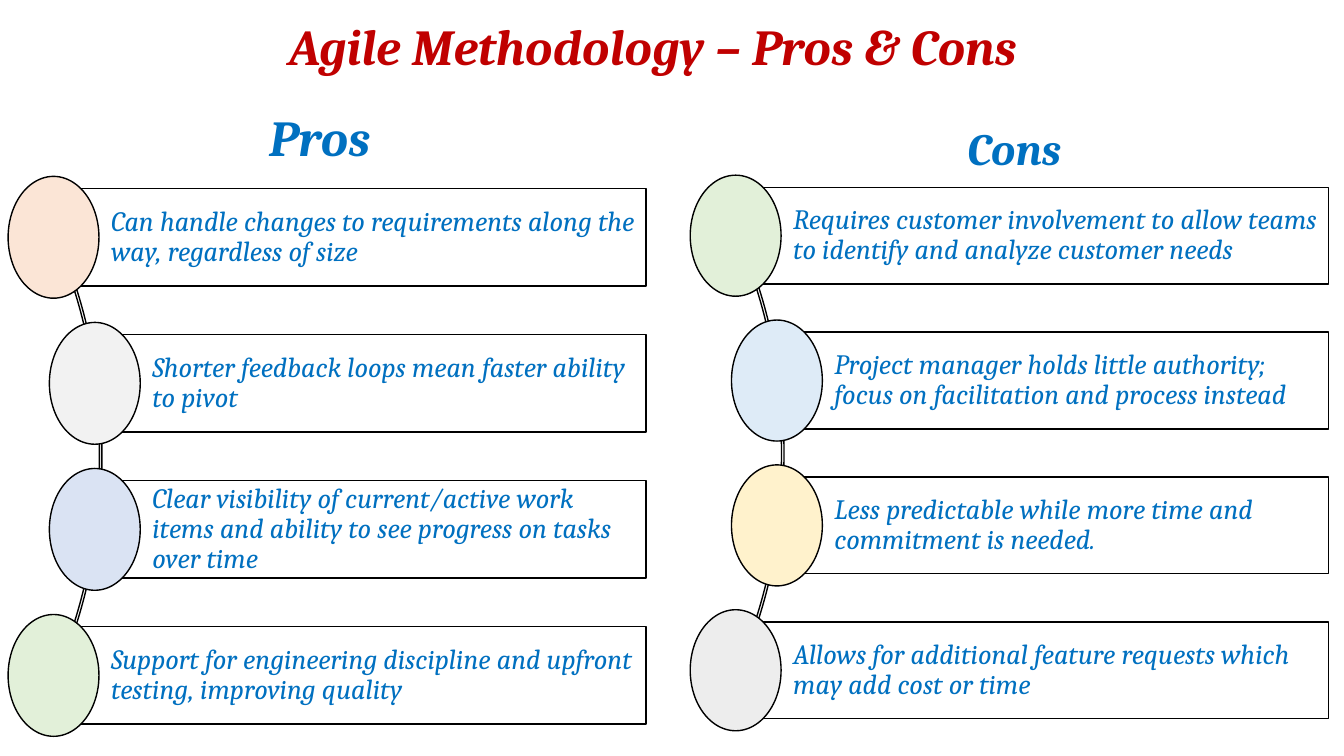
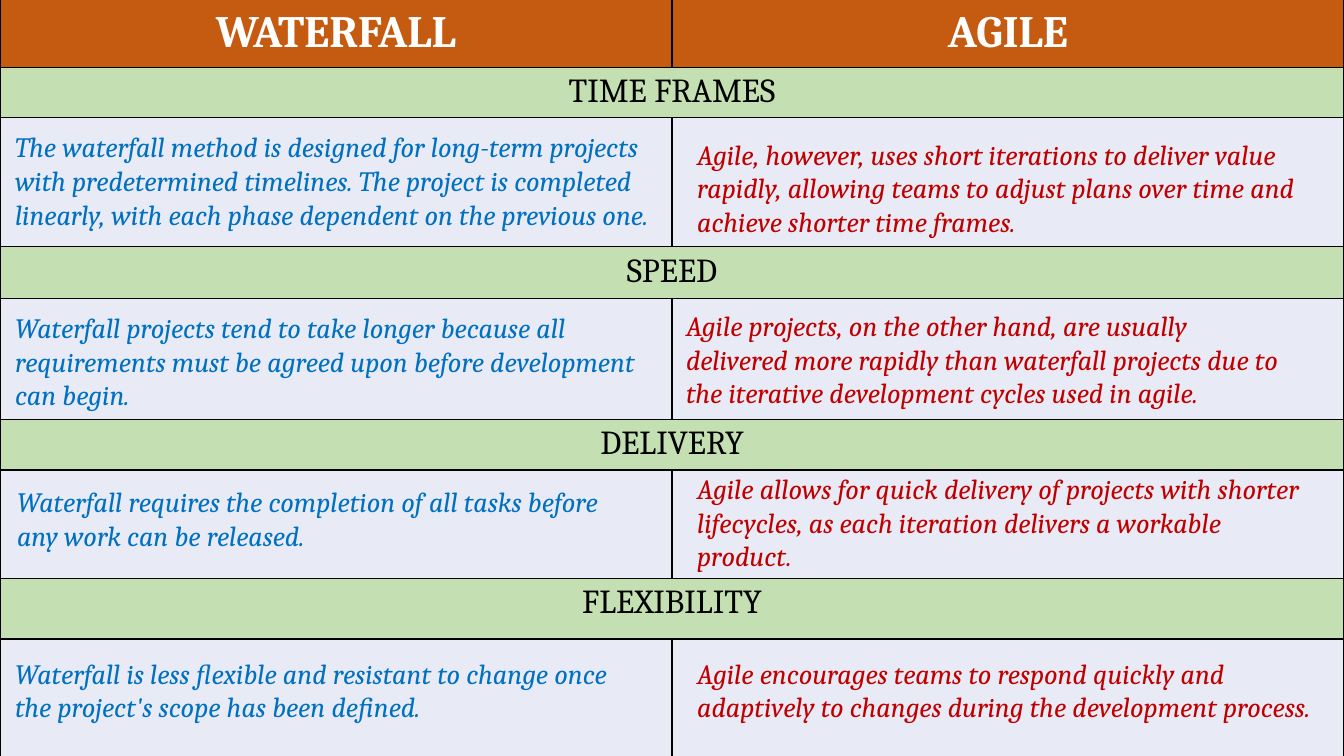
from dataclasses import dataclass

import lxml.etree
import pptx
import pptx.dml.color
import pptx.enum.shapes
import pptx.enum.text
import pptx.oxml.ns
import pptx.util

Cm, Pt = pptx.util.Cm, pptx.util.Pt
SHAPE = pptx.enum.shapes.MSO_SHAPE
ANCHOR = pptx.enum.text.MSO_ANCHOR
ALIGN = pptx.enum.text.PP_ALIGN

FONT = "Cambria"
BLACK, WHITE, BLUE, RED = "000000", "FFFFFF", "0070C0", "C00000"
ORANGE, GREEN, PALE = "C55A11", "C4E0B2", "E8EBF5"
SLIDE_W, SLIDE_H = 33.87, 19.05

# Arc list geometry, in cm
INDENT = 1.04
CIRCLE_W = 2.29
ARC_W = 15.95
ARC_OFFSET = 14.73
INDENTED_ROWS = (1, 2)


@dataclass
class Item:
    text: str
    circle: str


@dataclass
class ArcList:
    left: float
    right: float
    first_mid: float
    pitch: float
    bar_h: float
    circle_h: float
    arc_h: float
    items: list[Item]


@dataclass
class Note:
    """Comparison text laid over a table cell."""
    left: float
    top: float
    width: float
    height: float
    text: str


@dataclass
class Section:
    name: str
    band_h: float
    body_h: float
    waterfall: Note
    agile: Note


PROS = ArcList(1.35, 16.28, 5.98, 3.68, 2.46, 3.07, 21.49, [
    Item("Can handle changes to requirements along the way, regardless of size", "FBE5D6"),
    Item("Shorter feedback loops mean faster ability to pivot", "F2F2F2"),
    Item("Clear visibility of current/active work items and ability to see progress "
         "on tasks over time", "DAE3F3"),
    Item("Support for engineering discipline and upfront testing, improving quality", "E2F0D9"),
])
CONS = ArcList(18.54, 33.48, 5.94, 3.65, 2.44, 3.05, 21.31, [
    Item("Requires customer involvement to allow teams to identify and analyze "
         "customer needs", "E2F0D9"),
    Item("Project manager holds little authority; focus on facilitation and process "
         "instead", "DEEBF7"),
    Item("Less predictable while more time and commitment is needed.", "FFF2CC"),
    Item("Allows for additional feature requests which may add cost or time", "EDEDED"),
])

SECTIONS = [
    Section(
        "TIME FRAMES", 1.09, 3.25,
        Note(0.13, 3.15, 17.22, 2.82,
             "The waterfall method is designed for long-term projects with predetermined "
             "timelines. The project is completed linearly, with each phase dependent on "
             "the previous one."),
        Note(17.32, 3.33, 15.88, 2.82,
             "Agile, however, uses short iterations to deliver value rapidly, allowing "
             "teams to adjust plans over time and achieve shorter time frames.")),
    Section(
        "SPEED", 1.3, 3.05,
        Note(0.13, 7.7, 16.81, 2.82,
             "Waterfall projects tend to take longer because all requirements must be "
             "agreed upon before development can begin."),
        Note(17.04, 7.65, 15.75, 2.82,
             "Agile projects, on the other hand, are usually delivered more rapidly than "
             "waterfall projects due to the iterative development cycles used in agile.")),
    Section(
        "DELIVERY", 1.07, 2.74,
        Note(0.18, 12.09, 15.37, 1.96,
             "Waterfall requires the completion of all tasks before any work can be "
             "released."),
        Note(17.32, 11.76, 15.88, 3.68,
             "Agile allows for quick delivery of projects with shorter lifecycles, as "
             "each iteration delivers a workable product.")),
    Section(
        "FLEXIBILITY", 1.52, 3.56,
        Note(0.13, 16.41, 15.75, 1.96,
             "Waterfall is less flexible and resistant to change once the project's scope "
             "has been defined."),
        Note(17.32, 16.41, 16.41, 2.82,
             "Agile encourages teams to respond quickly and adaptively to changes during "
             "the development process.")),
]


def rgb(value: str) -> pptx.dml.color.RGBColor:
    return pptx.dml.color.RGBColor.from_string(value)


def write(tf, text: str, size: float, color: str, bold: bool = False,
          italic: bool = True, align=ALIGN.LEFT, spacing: float = 1.0) -> None:
    p = tf.paragraphs[0]
    p.text = text
    p.alignment = align
    p.line_spacing = spacing
    p.font.name = FONT
    p.font.size = Pt(size)
    p.font.bold = bold
    p.font.italic = italic
    p.font.color.rgb = rgb(color)


def add_text(s, left: float, top: float, width: float, height: float,
             text: str, size: float, color: str, **style) -> None:
    tf = s.shapes.add_textbox(Cm(left), Cm(top), Cm(width), Cm(height)).text_frame
    tf.word_wrap = True
    write(tf, text, size, color, **style)


def add_heading(s, left: float, top: float, width: float, height: float,
                text: str, size: float, color: str) -> None:
    add_text(s, left, top, width, height, text, size, color,
             bold=True, align=ALIGN.CENTER, spacing=0.9)


def add_outlined(s, kind, left: float, top: float, width: float, height: float,
                 fill: str | None = None):
    """Add a black-outlined shape, hollow when no fill is given."""
    sp = s.shapes.add_shape(kind, Cm(left), Cm(top), Cm(width), Cm(height))
    sp.shadow.inherit = False
    if fill is None:
        sp.fill.background()
    else:
        sp.fill.solid()
        sp.fill.fore_color.rgb = rgb(fill)
    sp.line.color.rgb = rgb(BLACK)
    sp.line.width = Pt(1)
    return sp


def add_arc_list(s, spec: ArcList) -> None:
    center = spec.first_mid + spec.pitch * (len(spec.items) - 1) / 2
    arc = add_outlined(s, SHAPE.BLOCK_ARC, spec.left - ARC_OFFSET,
                       center - spec.arc_h / 2, ARC_W, spec.arc_h)
    for i, value in enumerate((189, 27, 0.004)):
        arc.adjustments[i] = value

    for i, item in enumerate(spec.items):
        left = spec.left + (INDENT if i in INDENTED_ROWS else 0)
        mid = spec.first_mid + i * spec.pitch
        bar = add_outlined(s, SHAPE.RECTANGLE, left, mid - spec.bar_h / 2,
                           spec.right - left, spec.bar_h, WHITE)
        tf = bar.text_frame
        tf.word_wrap = True
        tf.vertical_anchor = ANCHOR.MIDDLE
        tf.margin_left = Cm(1.45)
        tf.margin_right = tf.margin_top = tf.margin_bottom = Cm(0.13)
        write(tf, item.text, 20, BLUE, spacing=0.9)
        add_outlined(s, SHAPE.OVAL, left - CIRCLE_W / 2, mid - spec.circle_h / 2,
                     CIRCLE_W, spec.circle_h, item.circle)


def style_cell(cell, fill: str) -> None:
    """Give a cell black borders on all sides and a solid fill."""
    qn = pptx.oxml.ns.qn
    tc_pr = cell._tc.get_or_add_tcPr()
    for side in ("a:lnL", "a:lnR", "a:lnT", "a:lnB"):
        ln = lxml.etree.SubElement(tc_pr, qn(side), w=str(Pt(1)))
        solid = lxml.etree.SubElement(ln, qn("a:solidFill"))
        lxml.etree.SubElement(solid, qn("a:srgbClr"), val=BLACK)
    cell.fill.solid()
    cell.fill.fore_color.rgb = rgb(fill)


def add_comparison_table(s) -> None:
    heights = [1.73]
    for section in SECTIONS:
        heights += [section.band_h, section.body_h]
    table = s.shapes.add_table(len(heights), 2, Cm(0), Cm(-0.03),
                               Cm(SLIDE_W), Cm(sum(heights))).table
    table.first_row = table.horz_banding = False
    for column in table.columns:
        column.width = Cm(SLIDE_W / 2)
    for i, height in enumerate(heights):
        table.rows[i].height = Cm(height)
        fill = ORANGE if i == 0 else GREEN if i % 2 else PALE
        for cell in table.rows[i].cells:
            style_cell(cell, fill)

    for i, name in enumerate(("WATERFALL", "AGILE")):
        cell = table.cell(0, i)
        cell.vertical_anchor = ANCHOR.MIDDLE
        write(cell.text_frame, name, 32, WHITE, bold=True, italic=False, align=ALIGN.CENTER)
    for i, section in enumerate(SECTIONS):
        row = 1 + 2 * i
        table.cell(row, 0).merge(table.cell(row, 1))
        write(table.cell(row, 0).text_frame, section.name, 24, BLACK,
              italic=False, align=ALIGN.CENTER)


def build_pros_cons(s) -> None:
    add_heading(s, 0.89, 2.72, 14.33, 1.35, "Pros", 36, BLUE)
    add_arc_list(s, PROS)
    add_heading(s, 18.36, 3.07, 14.4, 1.35, "Cons", 32, BLUE)
    add_arc_list(s, CONS)
    add_heading(s, 6.88, 0.43, 19.13, 1.65, "Agile Methodology – Pros & Cons", 36, RED)


def build_comparison(s) -> None:
    add_comparison_table(s)
    for section in SECTIONS:
        for note, color in ((section.waterfall, BLUE), (section.agile, RED)):
            add_text(s, note.left, note.top, note.width, note.height, note.text, 20, color)


def main() -> None:
    prs = pptx.Presentation()
    prs.slide_width, prs.slide_height = Cm(SLIDE_W), Cm(SLIDE_H)
    for build in (build_pros_cons, build_comparison):
        build(prs.slides.add_slide(prs.slide_layouts[6]))
    prs.save("out.pptx")


if __name__ == "__main__":
    main()
